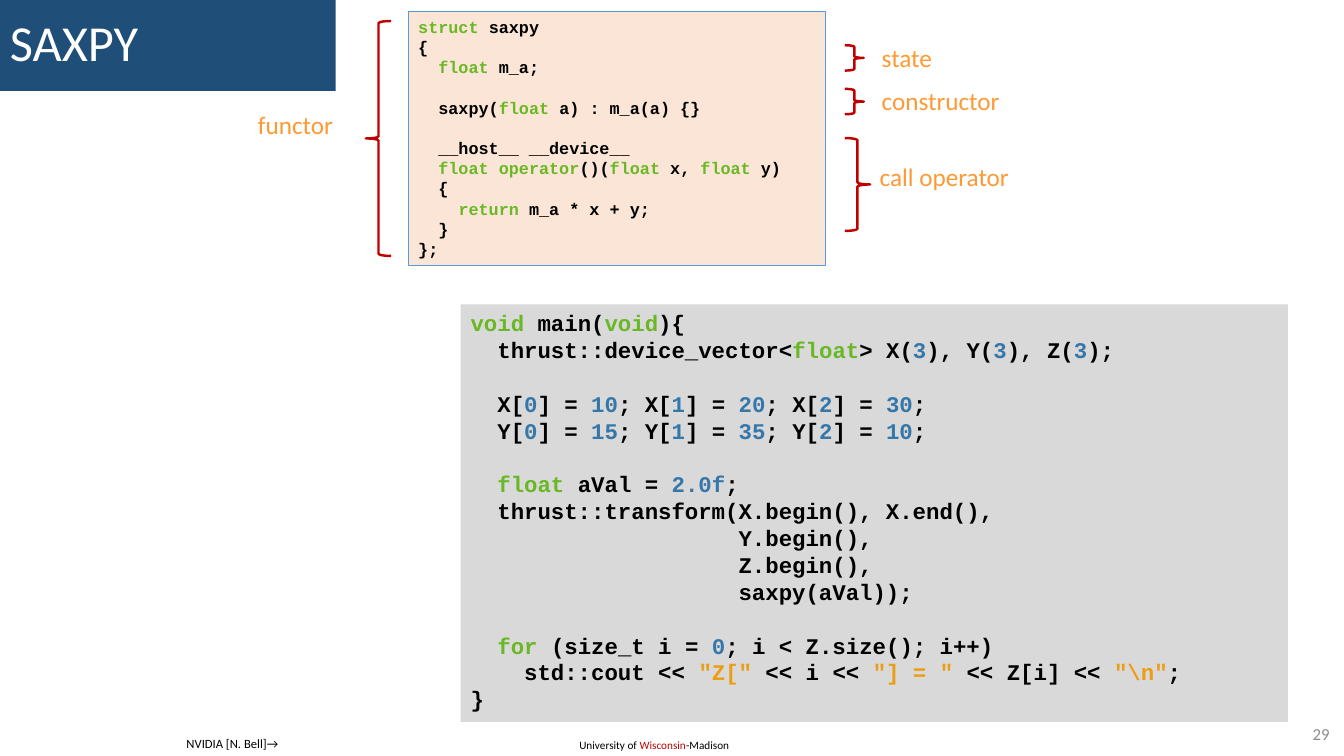
from pptx import Presentation
from pptx.dml.color import RGBColor
from pptx.enum.shapes import MSO_SHAPE as Shape
from pptx.enum.text import MSO_ANCHOR as Anchor, PP_ALIGN as Align
from pptx.util import Cm, Pt

COLORS = {
    "title_fill": "1F4E79", "white": "FFFFFF", "black": "000000",
    "functor_fill": "FBE5D6", "functor_line": "5B9BD5", "main_fill": "D9D9D9",
    "red": "C00000", "label": "FF9933", "number_gray": "8C8C8C",
    "keyword": "6AB825", "number": "3677A9", "string": "ED9D13",
}

FUNCTOR_CODE = """`struct `saxpy
{
  `float `m_a;

  saxpy(`float` a) : m_a(a) {}

  __host__ __device__
  `float operator`()(`float` x, `float` y)
  {
    `return `m_a * x + y;
  }
};"""

MAIN_CODE = r"""`void` main(`void`){
  thrust::device_vector<`float`> X(`3`), Y(`3`), Z(`3`);

  X[`0`] = `10`; X[`1`] = `20`; X[`2`] = `30`;
  Y[`0`] = `15`; Y[`1`] = `35`; Y[`2`] = `10`;

  `float `aVal = `2.0f`;
  thrust::transform(X.begin(), X.end(),
                    Y.begin(),
                    Z.begin(),
                    saxpy(aVal));

  `for` (size_t i = `0`; i < Z.size(); i++)
    std::cout << `"Z["` << i << `"] = "` << Z[i] << `"\n"`;
}"""

presentation = Presentation()
presentation.slide_width = Cm(33.87)
presentation.slide_height = Cm(19.05)
slide = presentation.slides.add_slide(presentation.slide_layouts[6])


def add_shape(kind, box, fill=None, line=None, width=0.75):
    shape = slide.shapes.add_shape(kind, *map(Cm, box))
    shape.shadow.inherit = False
    if fill:
        shape.fill.solid()
        shape.fill.fore_color.rgb = RGBColor.from_string(COLORS[fill])
    else:
        shape.fill.background()
    if line:
        shape.line.color.rgb = RGBColor.from_string(COLORS[line])
        shape.line.width = Pt(width)
    else:
        shape.line.fill.background()
    return shape


def add_label(box, text, size, color, wrap=True):
    shape = slide.shapes.add_textbox(*map(Cm, box))
    shape.text_frame.word_wrap = wrap
    paragraph = shape.text_frame.paragraphs[0]
    paragraph.text = text
    paragraph.font.name = "Calibri"
    paragraph.font.size = Pt(size)
    paragraph.font.color.rgb = RGBColor.from_string(COLORS[color])
    return shape


footer = add_label((14.35, 18.49, 4.37, 0.61), "University of ", 8, "black")
footer_paragraph = footer.text_frame.paragraphs[0]
for text, color in (("Wisconsin", "red"), ("-Madison", "black")):
    run = footer_paragraph.add_run()
    run.text = text
    run.font.color.rgb = RGBColor.from_string(COLORS[color])

title = add_shape(Shape.RECTANGLE, (0, 0, 8.46, 2.29), "title_fill")
title.text_frame.vertical_anchor = Anchor.MIDDLE
title_paragraph = title.text_frame.paragraphs[0]
title_paragraph.text = "SAXPY"
title_paragraph.alignment = Align.LEFT
title_paragraph.line_spacing = 0.9
title_paragraph.font.name = "Calibri"
title_paragraph.font.size = Pt(36)
title_paragraph.font.color.rgb = RGBColor.from_string(COLORS["white"])

page_number = add_label((31.83, 18.11, 1.93, 0.74), "29", 12, "number_gray")
page_number.text_frame.vertical_anchor = Anchor.MIDDLE
page_number.text_frame.paragraphs[0].alignment = Align.RIGHT

for box, fill, line, size, code in (
    ((10.29, 0.3, 10.52, 6.4), "functor_fill", "functor_line", 12, FUNCTOR_CODE),
    ((11.61, 7.67, 20.85, 10.52), "main_fill", None, 16, MAIN_CODE),
):
    frame = add_shape(Shape.RECTANGLE, box, fill, line).text_frame
    frame.vertical_anchor = Anchor.TOP
    frame.word_wrap = True
    for row, code_line in enumerate(code.split("\n")):
        paragraph = frame.add_paragraph() if row else frame.paragraphs[0]
        paragraph.alignment = Align.LEFT
        paragraph.font.name = "Courier New"
        paragraph.font.size = Pt(size)
        paragraph.font.bold = True
        paragraph.font.color.rgb = RGBColor.from_string(COLORS["black"])
        for index, token in enumerate((code_line or "  ").split("`")):
            if not token:
                continue
            run = paragraph.add_run()
            run.text = token
            if index % 2:
                kind = "number" if token[0].isdigit() else "string" if token[0] == '"' else "keyword"
                run.font.color.rgb = RGBColor.from_string(COLORS[kind])

for kind, box in (
    (Shape.LEFT_BRACE, (9.22, 0.53, 0.64, 5.92)),
    (Shape.RIGHT_BRACE, (21.29, 1.14, 0.48, 0.64)),
    (Shape.RIGHT_BRACE, (21.29, 2.24, 0.48, 0.64)),
    (Shape.RIGHT_BRACE, (21.29, 3.48, 0.64, 2.34)),
):
    add_shape(kind, box, line="red", width=1.75)

for text, left, top, width, wrap in (
    ("functor", 6.25, 2.64, 2.44, False),
    ("state", 21.97, 0.94, 4.32, True),
    ("constructor", 21.97, 2.03, 4.32, True),
    ("call operator", 21.92, 3.94, 3.81, False),
):
    add_label((left, top, width, 1.02), text, 18, "label", wrap)

add_label((4.45, 18.42, 2.82, 0.64), "NVIDIA [N. Bell]→", 9, "black", False)

presentation.save("out.pptx")
